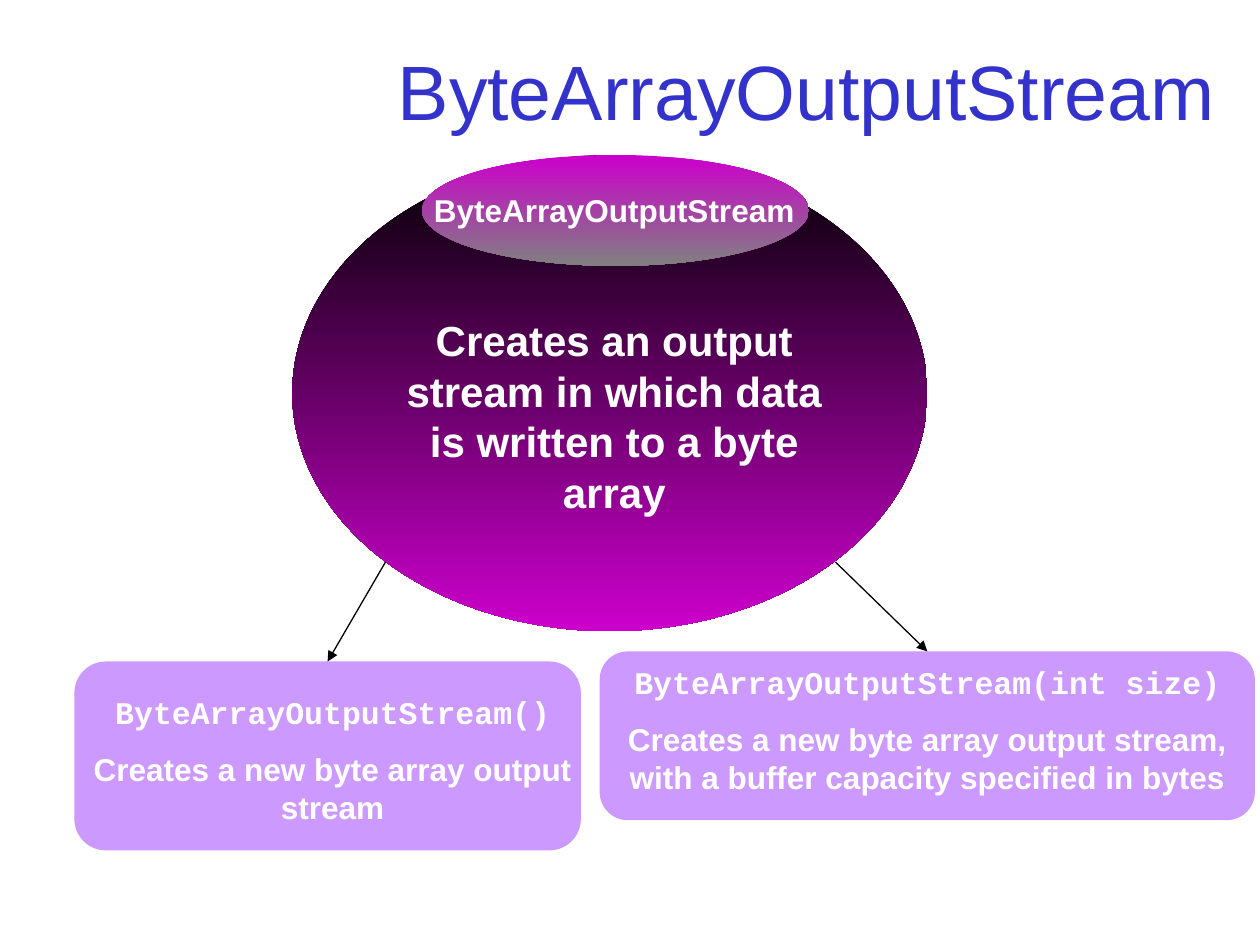
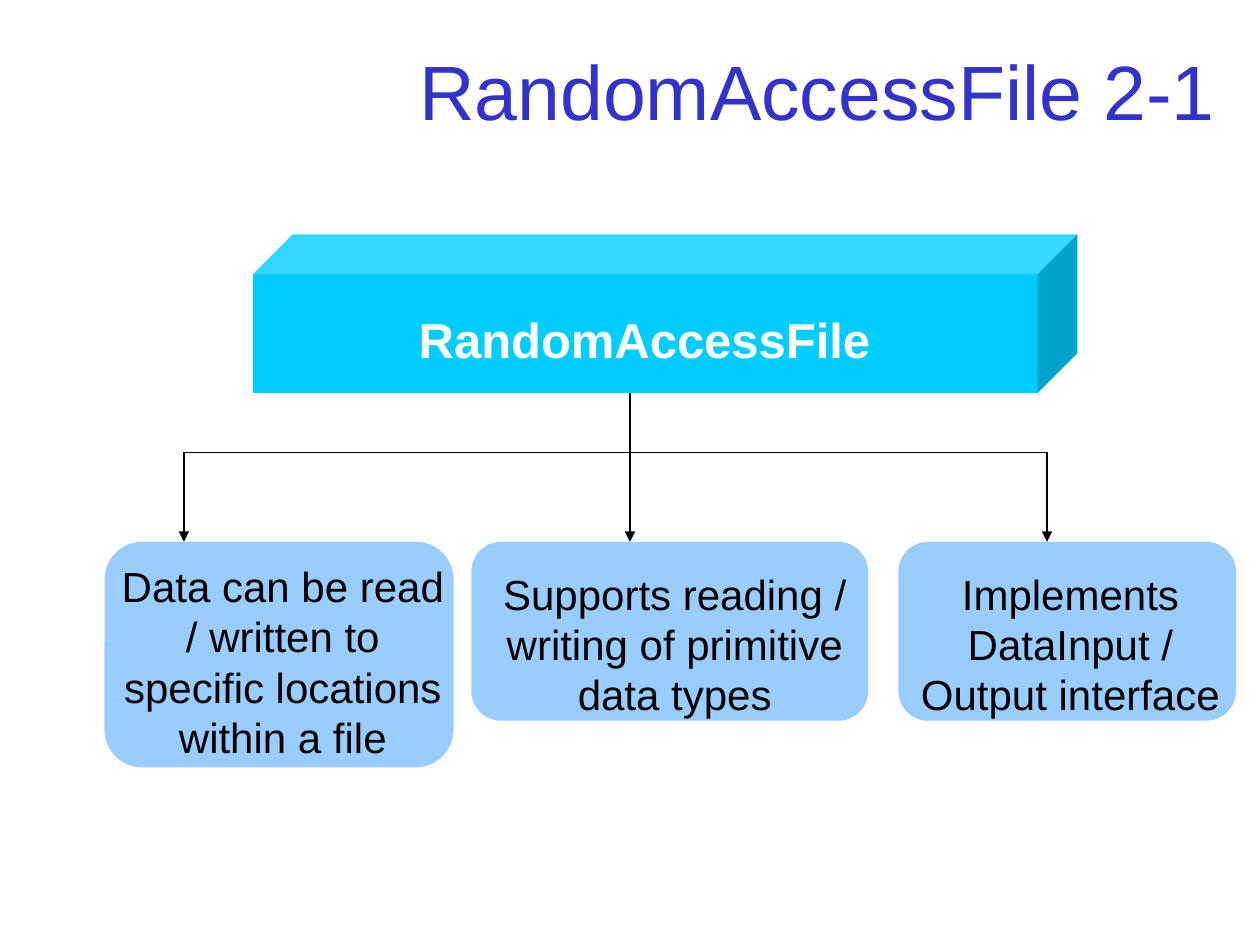
"""Builds two slides on the ByteArrayOutputStream and RandomAccessFile classes."""
from lxml import etree
from pptx import Presentation
from pptx.dml.color import RGBColor
from pptx.enum.shapes import MSO_CONNECTOR, MSO_SHAPE
from pptx.enum.text import MSO_ANCHOR, PP_ALIGN
from pptx.oxml.ns import qn
from pptx.util import Inches, Pt

ELLIPSE, CUBE, ROUNDED = MSO_SHAPE.OVAL, MSO_SHAPE.CUBE, MSO_SHAPE.ROUNDED_RECTANGLE
STRAIGHT = MSO_CONNECTOR.STRAIGHT
CENTER, RIGHT = PP_ALIGN.CENTER, PP_ALIGN.RIGHT
MIDDLE = MSO_ANCHOR.MIDDLE
TITLE_ONLY = 5
TOP_SIDE = 0


def color(hex_code):
    return RGBColor.from_string(hex_code)


class Deck:
    """Holds the shared style, the 40 by 30 grid and the current slide."""

    COLUMNS, ROWS = 40, 30
    SANS, MONO = "Arial", "Courier New"
    TITLE, WHITE, BLACK = "3333CC", "FFFFFF", "000000"
    MAGENTA, GRAY, LILAC = "CC00CC", "808080", "CC99FF"
    CYAN, SKY = "00CCFF", "99CCFF"

    def __init__(self):
        self.prs = Presentation()
        self.prs.slide_width, self.prs.slide_height = Inches(10), Inches(7.5)
        self.slide = None

    def point(self, column, row):
        return (round(self.prs.slide_width * column / self.COLUMNS),
                round(self.prs.slide_height * row / self.ROWS))

    def area(self, column, row, columns, rows):
        return self.point(column, row) + self.point(columns, rows)

    def add_text(self, paragraph, text, size, ink, bold=False, font=SANS, align=CENTER):
        paragraph.alignment = align
        run = paragraph.add_run()
        run.text = text
        run.font.name, run.font.size, run.font.bold = font, Pt(size), bold
        run.font.color.rgb = color(ink)

    def new_slide(self, title):
        self.slide = self.prs.slides.add_slide(self.prs.slide_layouts[TITLE_ONLY])
        heading = self.slide.shapes.title
        heading.left, heading.top, heading.width, heading.height = self.area(3, 1.12, 36, 3.48)
        heading.text_frame.vertical_anchor = MIDDLE
        self.add_text(heading.text_frame.paragraphs[0], title, 44, self.TITLE, align=RIGHT)

    def figure(self, kind, place, fills, text_place, lines, size, ink, bold=False):
        """Group a filled shape with its caption; two fills make a downward gradient."""
        group = self.slide.shapes.add_group_shape()
        shape = group.shapes.add_shape(kind, *self.area(*place))
        shape.shadow.inherit = False
        shape.line.fill.background()
        if len(fills) == 2:
            shape.fill.gradient()
            shape.fill.gradient_angle = 270
            for position, (stop, shade) in enumerate(zip(shape.fill.gradient_stops, fills)):
                stop.position, stop.color.rgb = position, color(shade)
        else:
            shape.fill.solid()
            shape.fill.fore_color.rgb = color(fills[0])
        frame = group.shapes.add_textbox(*self.area(*text_place)).text_frame
        frame.word_wrap = True
        for index, (text, font) in enumerate(lines):
            paragraph = frame.add_paragraph() if index else frame.paragraphs[0]
            if index:
                paragraph.space_before = Pt(11.2)
            self.add_text(paragraph, text, size, ink, bold, font)
        return shape

    def line(self, start, end, arrow=True, target=None):
        connector = self.slide.shapes.add_connector(
            STRAIGHT, *self.point(*start), *self.point(*end))
        connector.line.color.rgb = color(self.BLACK)
        connector.line.width = Pt(0.75)
        properties = connector.element.spPr
        if arrow:
            etree.SubElement(properties.find(qn("a:ln")), qn("a:tailEnd"), type="triangle")
        etree.SubElement(properties, qn("a:effectLst"))
        if target is not None:
            connector.end_connect(target, TOP_SIDE)


def byte_array_slide(deck):
    name = "ByteArrayOutputStream"
    deck.new_slide(name)
    deck.figure(ELLIPSE, (9.28, 4.92, 20.16, 15.12), (deck.BLACK, deck.MAGENTA),
                (12, 9.8, 15, 6.8),
                [("Creates an output stream in which data is written to a byte array", deck.SANS)],
                24, deck.WHITE, True)
    deck.figure(ELLIPSE, (13.4, 4.92, 12.28, 3.52), (deck.MAGENTA, deck.GRAY),
                (12.88, 5.88, 13.24, 1.6), [(name, deck.SANS)], 18, deck.WHITE, True)
    constructors = [
        ((2.36, 21, 16.08, 6), (2.36, 21.8, 16.4, 4.64), "()",
         "Creates a new byte array output stream", (12.24, 17.84)),
        ((19.04, 20.68, 20.8, 5.36), (19.04, 20.84, 20.8, 4.64), "(int size)",
         "Creates a new byte array output stream, with a buffer capacity specified in bytes",
         (26.52, 17.84)),
    ]
    for place, text_place, arguments, purpose, arrow_start in constructors:
        panel = deck.figure(ROUNDED, place, (deck.LILAC,), text_place,
                            [(name + arguments, deck.MONO), (purpose, deck.SANS)],
                            18, deck.WHITE, True)
        column, row, columns, _ = place
        deck.line(arrow_start, (column + columns / 2, row), target=panel)


def random_access_slide(deck):
    deck.new_slide("RandomAccessFile 2-1")
    deck.figure(CUBE, (8.04, 7.44, 26.16, 5.04), (deck.CYAN,), (9.6, 9.64, 21.72, 2.28),
                [("RandomAccessFile", deck.SANS)], 28, deck.WHITE, True)
    cube_bottom, rail, feature_top = 12.48, 14.36, 17.2
    features = [
        (3.32, 11.08, 7.16, (3.32, 17.6, 11.32, 6.8), 5.84,
         "Data can be read / written to specific locations within a file"),
        (14.96, 12.6, 5.68, (14.96, 17.84, 12.92, 5.2), 20,
         "Supports reading / writing of primitive data types"),
        (28.52, 10.72, 5.68, (28.76, 17.84, 10.44, 5.2), 33.24,
         "Implements DataInput / Output interface"),
    ]
    for column, columns, rows, text_place, drop, feature in features:
        deck.figure(ROUNDED, (column, feature_top, columns, rows), (deck.SKY,), text_place,
                    [(feature, deck.SANS)], 24, deck.BLACK)
        deck.line((drop, rail), (drop, feature_top))
    first_drop, stem, last_drop = [feature[4] for feature in features]
    deck.line((stem, cube_bottom), (stem, rail), arrow=False)
    deck.line((first_drop, rail), (last_drop, rail), arrow=False)


def main():
    deck = Deck()
    byte_array_slide(deck)
    random_access_slide(deck)
    deck.prs.save("out.pptx")


if __name__ == "__main__":
    main()
